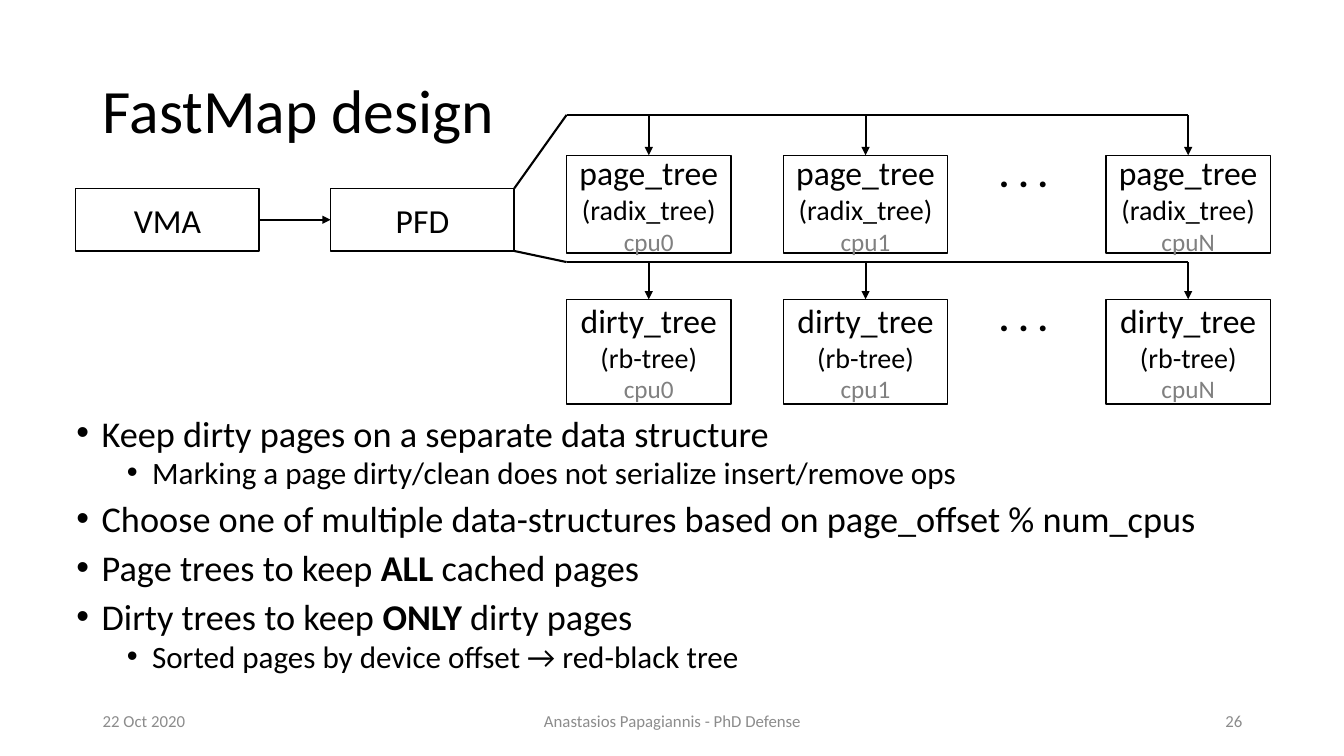
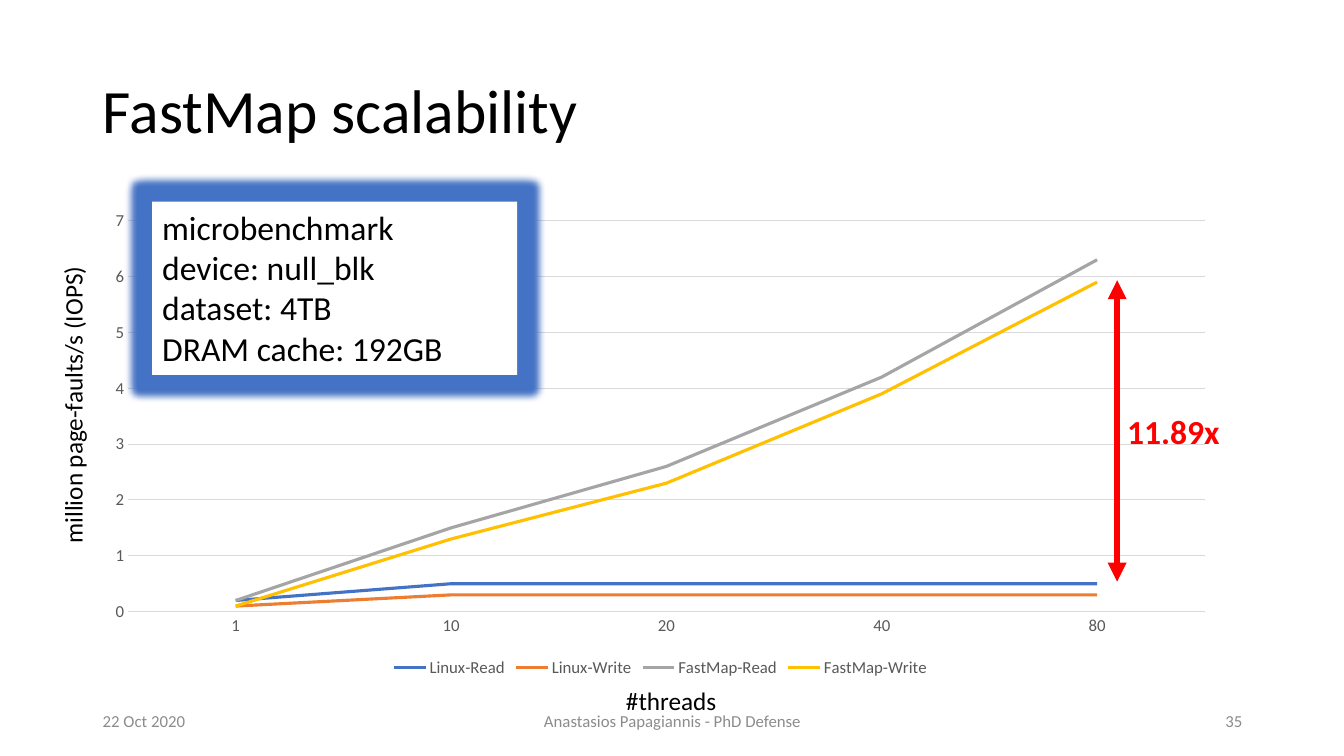
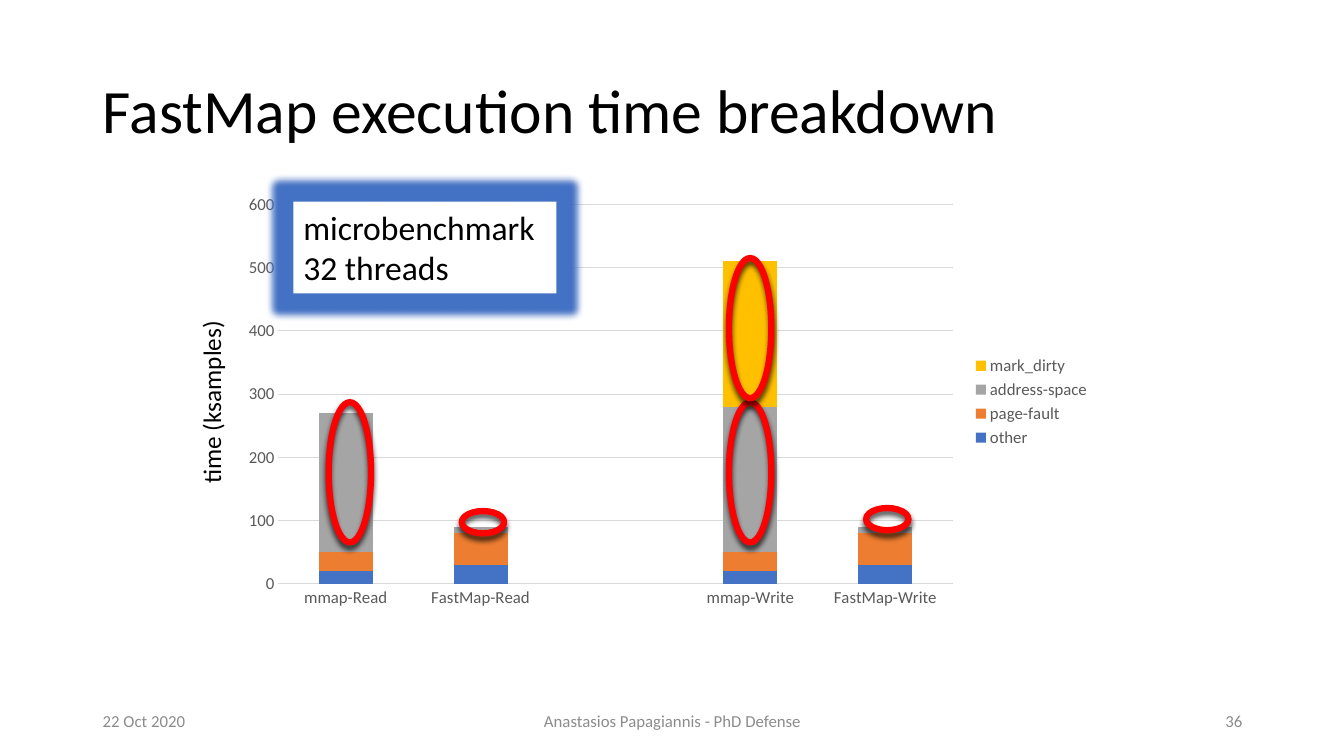
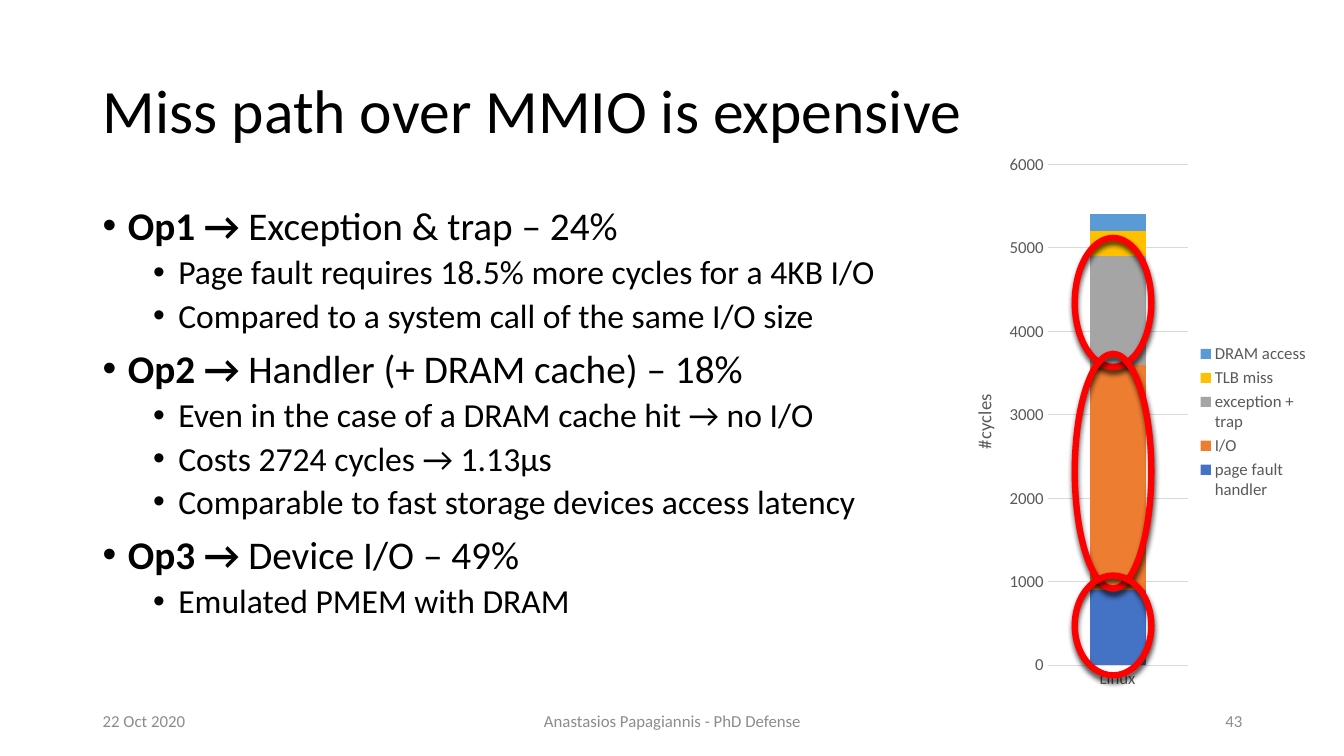
from dataclasses import dataclass
from typing import Optional, Sequence

from lxml.etree import SubElement
from pptx import Presentation
from pptx.chart.data import CategoryChartData
from pptx.dml.color import RGBColor
from pptx.enum.chart import XL_CHART_TYPE, XL_LEGEND_POSITION, XL_TICK_MARK
from pptx.enum.shapes import MSO_CONNECTOR, MSO_SHAPE
from pptx.enum.text import MSO_ANCHOR, MSO_AUTO_SIZE, PP_ALIGN
from pptx.oxml import parse_xml
from pptx.oxml.ns import nsdecls, qn
from pptx.util import Inches, Pt

FONT = "Calibri"
COLORS = {
    "black": "000000", "white": "FFFFFF", "red": "FF0000",
    "cpu": "808080", "footer": "8C8C8C", "chart_text": "595959",
    "grid": "D9D9D9", "blue": "4472C4", "orange": "ED7D31",
    "gray": "A5A5A5", "yellow": "FFC000", "light_blue": "5B9BD5",
}
DATE = "22 Oct 2020"
FOOTER = "Anastasios Papagiannis - PhD Defense"
TOP, LEFT, RIGHT = 0, 1, 3


@dataclass(frozen=True)
class Box:
    left: float
    top: float
    width: float
    height: float

    def lengths(self) -> tuple:
        return tuple(map(Inches, (self.left, self.top, self.width, self.height)))


@dataclass(frozen=True)
class Series:
    name: str
    values: tuple
    color: str


@dataclass(frozen=True)
class ChartStyle:
    kind: XL_CHART_TYPE
    box: Box
    plot: Box
    maximum: float
    step: float
    legend: XL_LEGEND_POSITION
    value_title: Optional[str] = None


@dataclass(frozen=True)
class TreeRow:
    name: str
    structure: str
    top: float
    height: float
    bus: float
    dots_top: float
    source_corner: float


@dataclass(frozen=True)
class Bullet:
    level: int
    text: str


def rgb(name: str) -> RGBColor:
    return RGBColor.from_string(COLORS[name])


def write(frame, text: str, *, size: float, color: str = "black", bold: bool = False,
          align: PP_ALIGN = PP_ALIGN.LEFT, level: Optional[int] = None,
          spacing: Optional[float] = None) -> None:
    first = not frame.text
    para = frame.paragraphs[0] if first else frame.add_paragraph()
    if level is not None:
        properties = para._p.get_or_add_pPr()
        properties.set("marL", str(Inches(0.25 + 0.5 * level)))
        properties.set("indent", str(-Inches(0.25)))
        SubElement(properties, qn("a:buFont"), typeface="Arial")
        SubElement(properties, qn("a:buChar"), char="•")
        para.level = level
        para.space_before = Pt(0 if first else 5 if level else 10)
    para.alignment = align
    if spacing:
        para.line_spacing = spacing
    for index, part in enumerate(text.split("**")):
        if part:
            span = para.add_run()
            span.text = part
            span.font.name = FONT
            span.font.size = Pt(size)
            span.font.bold = bold or index % 2 == 1
            span.font.color.rgb = rgb(color)


def add_label(page, box: Box, text: str, *, wrap: bool = True, rotation: float = 0,
              anchor: MSO_ANCHOR = MSO_ANCHOR.TOP, **text_format) -> None:
    label = page.shapes.add_textbox(*box.lengths())
    label.rotation = rotation
    label.text_frame.word_wrap = wrap
    label.text_frame.vertical_anchor = anchor
    write(label.text_frame, text, **text_format)


def add_page(deck, title: str, number: int):
    page = deck.slides.add_slide(deck.slide_layouts[5])
    holder = page.shapes.title
    holder.left, holder.top, holder.width, holder.height = Box(0.92, 0.4, 11.5, 1.45).lengths()
    holder.text_frame.auto_size = MSO_AUTO_SIZE.NONE
    holder.text_frame.vertical_anchor = MSO_ANCHOR.MIDDLE
    write(holder.text_frame, title, size=44, spacing=0.9)
    for text, left, width, align in (
        (DATE, 0.92, 3, PP_ALIGN.LEFT),
        (FOOTER, 4.42, 4.5, PP_ALIGN.CENTER),
        (str(number), 9.42, 3, PP_ALIGN.RIGHT),
    ):
        add_label(page, Box(left, 6.95, width, 0.4), text, size=12, color="footer",
                  align=align, anchor=MSO_ANCHOR.MIDDLE)
    return page


def add_bullets(page, box: Box, bullets: Sequence[Bullet], sizes: tuple, spacing: float) -> None:
    body = page.shapes.add_textbox(*box.lengths())
    body.text_frame.word_wrap = True
    for bullet in bullets:
        write(body.text_frame, bullet.text, size=sizes[bullet.level],
              level=bullet.level, spacing=spacing)


def add_rectangle(page, box: Box):
    shape = page.shapes.add_shape(MSO_SHAPE.RECTANGLE, *box.lengths())
    shape.shadow.inherit = False
    shape.fill.solid()
    shape.fill.fore_color.rgb = rgb("white")
    shape.line.color.rgb = rgb("black")
    shape.line.width = Pt(1)
    shape.text_frame.word_wrap = True
    shape.text_frame.vertical_anchor = MSO_ANCHOR.MIDDLE
    return shape


def add_line(page, start: tuple, end: tuple, *, color: str = "black", width: float = 1.5,
             head: bool = False, tail: bool = False):
    points = map(Inches, (*start, *end))
    line = page.shapes.add_connector(MSO_CONNECTOR.STRAIGHT, *points)
    line.line.color.rgb = rgb(color)
    line.line.width = Pt(width)
    properties = line.element.spPr
    outline = properties.get_or_add_ln()
    for tag, wanted in (("a:headEnd", head), ("a:tailEnd", tail)):
        if wanted:
            SubElement(outline, qn(tag), type="triangle")
    SubElement(properties, qn("a:effectLst"))
    return line


def add_effect(shape, xml: str) -> None:
    shape.shadow.inherit = False
    shape.element.spPr.find(qn("a:effectLst")).append(parse_xml(xml))


def add_glow_note(page, box: Box, lines: Sequence[str]) -> None:
    note = add_rectangle(page, box)
    note.line.fill.background()
    note.text_frame.vertical_anchor = MSO_ANCHOR.TOP
    add_effect(note, f'<a:glow {nsdecls("a")} rad="{Pt(10)}">'
                     f'<a:srgbClr val="{COLORS["blue"]}"/></a:glow>')
    for text in lines:
        write(note.text_frame, text, size=24)


def add_ring(page, box: Box) -> None:
    ring = page.shapes.add_shape(MSO_SHAPE.OVAL, *box.lengths())
    ring.fill.background()
    ring.line.color.rgb = rgb("red")
    ring.line.width = Pt(4.5)
    add_effect(ring, f'<a:outerShdw {nsdecls("a")} blurRad="{Pt(4)}" dist="{Pt(3)}" '
                     f'dir="5400000" rotWithShape="0"><a:srgbClr val="{COLORS["black"]}">'
                     '<a:alpha val="70000"/></a:srgbClr></a:outerShdw>')


def place_plot(chart, box: Box, plot: Box) -> None:
    fractions = {
        "x": (plot.left - box.left) / box.width,
        "y": (plot.top - box.top) / box.height,
        "w": plot.width / box.width,
        "h": plot.height / box.height,
    }
    area = chart.element.find(".//" + qn("c:plotArea"))
    for old in area.findall(qn("c:layout")):
        area.remove(old)
    places = "".join(f'<c:{key} val="{value:.4f}"/>' for key, value in fractions.items())
    area.insert(0, parse_xml(
        f'<c:layout {nsdecls("c")}><c:manualLayout><c:layoutTarget val="inner"/>'
        f'<c:xMode val="edge"/><c:yMode val="edge"/>{places}</c:manualLayout></c:layout>'))


def add_data_chart(page, style: ChartStyle, categories: Sequence[str],
                   series: Sequence[Series]) -> None:
    data = CategoryChartData()
    data.categories = categories
    for entry in series:
        data.add_series(entry.name, entry.values)
    chart = page.shapes.add_chart(style.kind, *style.box.lengths(), data).chart
    chart.has_title = False
    chart.font.name = FONT
    chart.font.size = Pt(12)
    chart.font.color.rgb = rgb("chart_text")
    chart.has_legend = True
    chart.legend.position = style.legend
    chart.legend.include_in_layout = False
    values = chart.value_axis
    for axis in (chart.category_axis, values):
        axis.major_tick_mark = axis.minor_tick_mark = XL_TICK_MARK.NONE
    values.minimum_scale = 0
    values.maximum_scale = style.maximum
    values.major_unit = style.step
    values.has_major_gridlines = True
    for line in (chart.category_axis.format.line, values.major_gridlines.format.line):
        line.color.rgb = rgb("grid")
        line.width = Pt(0.75)
    values.format.line.fill.background()
    if style.value_title:
        write(values.axis_title.text_frame, style.value_title, size=13.3,
              color="chart_text", align=PP_ALIGN.CENTER)
    plot = chart.plots[0]
    plot.vary_by_categories = False
    is_line = style.kind == XL_CHART_TYPE.LINE
    if not is_line:
        plot.gap_width = 150
        plot.overlap = 100
    for drawn, entry in zip(plot.series, series):
        if is_line:
            drawn.smooth = False
            drawn.format.line.color.rgb = rgb(entry.color)
            drawn.format.line.width = Pt(2.25)
        else:
            drawn.format.fill.solid()
            drawn.format.fill.fore_color.rgb = rgb(entry.color)
    place_plot(chart, style.box, style.plot)


def add_tree_row(page, row: TreeRow) -> None:
    width = 1.63
    columns = (("cpu0", 5.62), ("cpu1", 7.77), ("cpuN", 10.97))
    bus_left, bus_right = columns[0][1], columns[-1][1] + width / 2
    add_line(page, (5.1, row.source_corner), (bus_left, row.bus))
    add_line(page, (bus_left, row.bus), (bus_right, row.bus))
    for cpu, left in columns:
        tree = add_rectangle(page, Box(left, row.top, width, row.height))
        for text, size, color in ((row.name, 24, "black"), (row.structure, 20, "black"),
                                  (cpu, 18, "cpu")):
            write(tree.text_frame, text, size=size, color=color, align=PP_ALIGN.CENTER)
        center = left + width / 2
        drop = add_line(page, (center, row.bus), (center, row.top), tail=True)
        drop.end_connect(tree, TOP)
    add_label(page, Box(9.81, row.dots_top, 0.7, 0.57), ". . .", size=28, bold=True)


def build_design(deck) -> None:
    page = add_page(deck, "FastMap design", 26)
    sources = []
    for name, left in (("VMA", 0.75), ("PFD", 3.28)):
        source = add_rectangle(page, Box(left, 1.87, 1.82, 0.62))
        write(source.text_frame, name, size=24, align=PP_ALIGN.CENTER)
        sources.append(source)
    arrow = add_line(page, (2.57, 2.18), (3.28, 2.18), tail=True)
    arrow.begin_connect(sources[0], RIGHT)
    arrow.end_connect(sources[1], LEFT)
    for row in (
        TreeRow("page_tree", "(radix_tree)", 1.54, 0.97, 1.14, 1.42, 1.87),
        TreeRow("dirty_tree", "(rb-tree)", 2.97, 1.04, 2.6, 2.85, 2.49),
    ):
        add_tree_row(page, row)
    add_bullets(page, Box(0.66, 4.11, 12.01, 2.83), (
        Bullet(0, "Keep dirty pages on a separate data structure"),
        Bullet(1, "Marking a page dirty/clean does not serialize insert/remove ops"),
        Bullet(0, "Choose one of multiple data-structures based on page_offset % num_cpus"),
        Bullet(0, "Page trees to keep **ALL** cached pages"),
        Bullet(0, "Dirty trees to keep **ONLY** dirty pages"),
        Bullet(1, "Sorted pages by device offset → red-black tree"),
    ), sizes=(25.9, 22.2), spacing=0.8)


def build_scalability(deck) -> None:
    page = add_page(deck, "FastMap scalability", 35)
    style = ChartStyle(XL_CHART_TYPE.LINE, Box(0.92, 2, 11.26, 4.76),
                       Box(1.27, 2.19, 10.68, 3.88), 7, 1, XL_LEGEND_POSITION.BOTTOM)
    add_data_chart(page, style, ("1", "10", "20", "40", "80"), (
        Series("Linux-Read", (0.2, 0.5, 0.5, 0.5, 0.5), "blue"),
        Series("Linux-Write", (0.1, 0.3, 0.3, 0.3, 0.3), "orange"),
        Series("FastMap-Read", (0.2, 1.5, 2.6, 4.2, 6.3), "gray"),
        Series("FastMap-Write", (0.1, 1.3, 2.3, 3.9, 5.9), "yellow"),
    ))
    add_label(page, Box(-0.77, 3.8, 2.98, 0.4), "million page-faults/s (IOPS)",
              size=18, rotation=270, wrap=False)
    add_line(page, (11.08, 5.77), (11.08, 2.78), color="red", width=4.5, head=True, tail=True)
    add_label(page, Box(11.08, 4.03, 1.13, 0.5), "11.89x", size=24, color="red",
              bold=True, wrap=False)
    add_glow_note(page, Box(1.51, 2, 3.62, 1.72), (
        "microbenchmark", "device: null_blk", "dataset: 4TB", "DRAM cache: 192GB"))
    add_label(page, Box(6.11, 6.75, 1.11, 0.4), "#threads", size=18, wrap=False)


def build_breakdown(deck) -> None:
    page = add_page(deck, "FastMap execution time breakdown", 36)
    style = ChartStyle(XL_CHART_TYPE.COLUMN_STACKED, Box(2.3, 1.85, 8.62, 4.27),
                       Box(2.76, 2.03, 6.69, 3.76), 600, 100, XL_LEGEND_POSITION.RIGHT)
    categories = ("mmap-Read", "FastMap-Read", " ", "mmap-Write", "FastMap-Write")
    add_data_chart(page, style, categories, (
        Series("other", (20, 30, None, 20, 30), "blue"),
        Series("page-fault", (30, 50, None, 30, 50), "orange"),
        Series("address-space", (220, 10, None, 230, 10), "gray"),
        Series("mark_dirty", (0, 0, None, 230, 0), "yellow"),
    ))
    add_label(page, Box(1.18, 3.78, 1.83, 0.4), "time (ksamples)",
              size=18, rotation=270, wrap=False)
    add_glow_note(page, Box(2.91, 2, 2.61, 0.91), ("microbenchmark", "32 threads"))
    for left, top, height in ((3.26, 3.99, 1.39), (4.58, 5.07, 0.22), (7.23, 3.99, 1.39),
                              (7.23, 2.56, 1.39), (8.59, 5.04, 0.22)):
        add_ring(page, Box(left, top, 0.42, height))


def build_miss_path(deck) -> None:
    page = add_page(deck, "Miss path over MMIO is expensive", 43)
    add_bullets(page, Box(0.92, 2, 8.64, 4.76), (
        Bullet(0, "**Op1 → **Exception & trap – 24%"),
        Bullet(1, "Page fault requires 18.5% more cycles for a 4KB I/O"),
        Bullet(1, "Compared to a system call of the same I/O size"),
        Bullet(0, "**Op2 → **Handler (+ DRAM cache) – 18%"),
        Bullet(1, "Even in the case of a DRAM cache hit → no I/O"),
        Bullet(1, "Costs 2724 cycles → 1.13μs"),
        Bullet(1, "Comparable to fast storage devices access latency"),
        Bullet(0, "**Op3 → **Device I/O – 49%"),
        Bullet(1, "Emulated PMEM with DRAM"),
    ), sizes=(28, 24), spacing=0.9)
    style = ChartStyle(XL_CHART_TYPE.COLUMN_STACKED, Box(9.42, 1.42, 3.67, 5.53),
                       Box(10.39, 1.63, 1.39, 4.97), 6000, 1000,
                       XL_LEGEND_POSITION.RIGHT, "#cycles")
    add_data_chart(page, style, ("Linux",), (
        Series("page fault handler", (900,), "blue"),
        Series("I/O", (2700,), "orange"),
        Series("exception + trap", (1300,), "gray"),
        Series("TLB miss", (300,), "yellow"),
        Series("DRAM access", (200,), "light_blue"),
    ))
    for top, height in ((2.36, 1.28), (3.51, 2.33), (5.71, 0.99)):
        add_ring(page, Box(10.66, top, 0.76, height))


def main() -> None:
    deck = Presentation()
    deck.slide_width = Inches(13.33)
    deck.slide_height = Inches(7.5)
    for build in (build_design, build_scalability, build_breakdown, build_miss_path):
        build(deck)
    deck.save("out.pptx")


if __name__ == "__main__":
    main()
